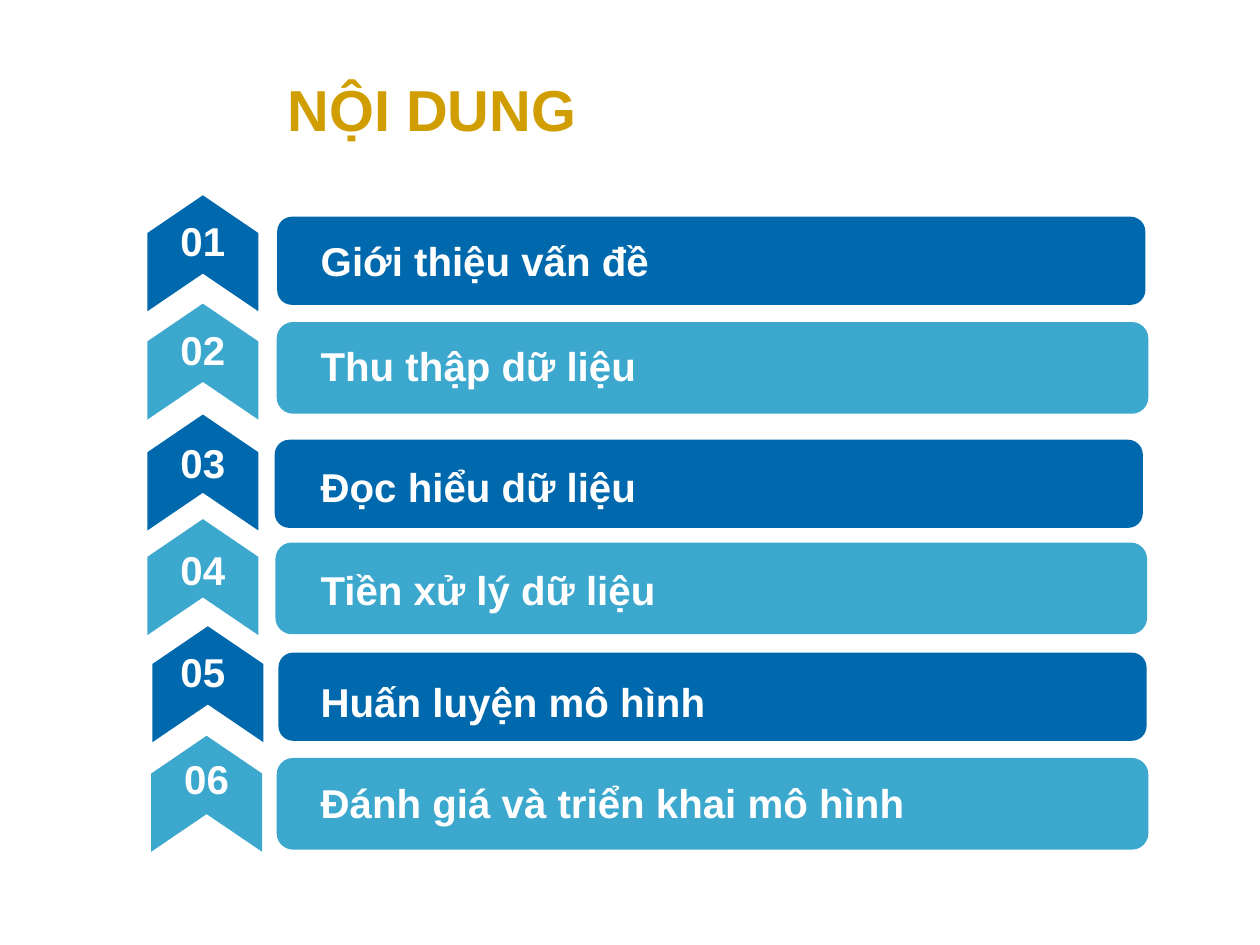
from dataclasses import dataclass
from typing import Optional

from pptx import Presentation
from pptx.dml.color import RGBColor
from pptx.enum.shapes import MSO_SHAPE as Preset
from pptx.enum.text import MSO_ANCHOR as Anchor, MSO_AUTO_SIZE as AutoSize, PP_ALIGN as Align
from pptx.util import Inches, Pt

COLUMNS, ROWS = 100, 75
DARK, LIGHT, GOLD, WHITE = "0069AD", "3CA8CE", "D09E00", "FFFFFF"

presentation = Presentation()
presentation.slide_width, presentation.slide_height = Inches(10), Inches(7.5)
slide = presentation.slides.add_slide(presentation.slide_layouts[6])


@dataclass(frozen=True)
class Box:
    column: float
    row: float
    columns: float
    rows: float

    def place(self) -> tuple[int, int, int, int]:
        cell_width = presentation.slide_width / COLUMNS
        cell_height = presentation.slide_height / ROWS
        return (round(self.column * cell_width), round(self.row * cell_height),
                round(self.columns * cell_width), round(self.rows * cell_height))


@dataclass(frozen=True)
class Topic:
    title: str
    bar_column: float
    bar_row: float
    label_row: float
    chevron_column: float
    chevron_row: float
    number_row: float
    number_column: float = 13
    label_columns: float = 63.4
    label_rows: float = 5.4
    label_filled: bool = False


TOPICS = [
    Topic("Giới thiệu vấn đề", 22, 17.2, 17.9, 11.5, 15.7, 16.7,
          label_rows=5.6, label_filled=True),
    Topic("Thu thập dữ liệu", 22.1, 25.7, 26.3, 11.5, 24.3, 25.3, label_columns=66.8),
    Topic("Đọc hiểu dữ liệu", 21.8, 34.9, 35.9, 11.5, 33.1, 34.3),
    Topic("Tiền xử lý dữ liệu", 22, 43.2, 44.1, 11.5, 41.4, 42.8),
    Topic("Huấn luyện mô hình", 22.1, 51.8, 53, 11.9, 49.9, 50.9, label_filled=True),
    Topic("Đánh giá và triển khai mô hình", 22.1, 60.3, 61, 11.8, 58.6, 59.4,
          number_column=13.3),
]


def color(value: str) -> RGBColor:
    return RGBColor.from_string(value)


def add_preset(preset: Preset, box: Box, fill: Optional[str] = None,
               line: Optional[str] = None):
    shape = slide.shapes.add_shape(preset, *box.place())
    shape.shadow.inherit = False
    if fill:
        shape.fill.solid()
        shape.fill.fore_color.rgb = color(fill)
    else:
        shape.fill.background()
    if line:
        shape.line.color.rgb = color(line)
        shape.line.width = Pt(2)
    else:
        shape.line.fill.background()
    return shape


def write(shape, text: str, *, size: float = 23, text_color: str = WHITE,
          align: Align = Align.CENTER, anchor: Anchor = Anchor.TOP) -> None:
    frame = shape.text_frame
    frame.word_wrap = True
    frame.auto_size = AutoSize.SHAPE_TO_FIT_TEXT
    frame.vertical_anchor = anchor
    paragraph = frame.paragraphs[0]
    paragraph.alignment = align
    run = paragraph.add_run()
    run.text = text
    run.font.name = "Arial"
    run.font.size = Pt(size)
    run.font.bold = True
    run.font.color.rgb = color(text_color)


def draw_topic(number: int, topic: Topic) -> None:
    fill, line = (DARK, None) if number % 2 else (LIGHT, LIGHT)
    add_preset(Preset.ROUNDED_RECTANGLE, Box(topic.bar_column, topic.bar_row, 68.9, 7),
               fill, line)
    label = add_preset(Preset.ROUNDED_RECTANGLE,
                       Box(24.2, topic.label_row, topic.label_columns, topic.label_rows),
                       fill if topic.label_filled else None)
    write(label, topic.title, align=Align.LEFT, anchor=Anchor.MIDDLE)
    chevron = add_preset(Preset.CHEVRON,
                         Box(topic.chevron_column, topic.chevron_row, 9.2, 8.8), fill)
    chevron.adjustments[0] = 0.34
    chevron.rotation = 270
    number_box = Box(topic.number_column, topic.number_row, 6.2, 5)
    write(slide.shapes.add_textbox(*number_box.place()), f"{number:02}")


heading = slide.shapes.add_textbox(*Box(19.9, 5.4, 36, 6.6).place())
heading.text_frame.margin_right = Inches(0.82)
write(heading, "NỘI DUNG", size=33, text_color=GOLD)

for number, topic in enumerate(TOPICS, start=1):
    draw_topic(number, topic)

presentation.save("out.pptx")
